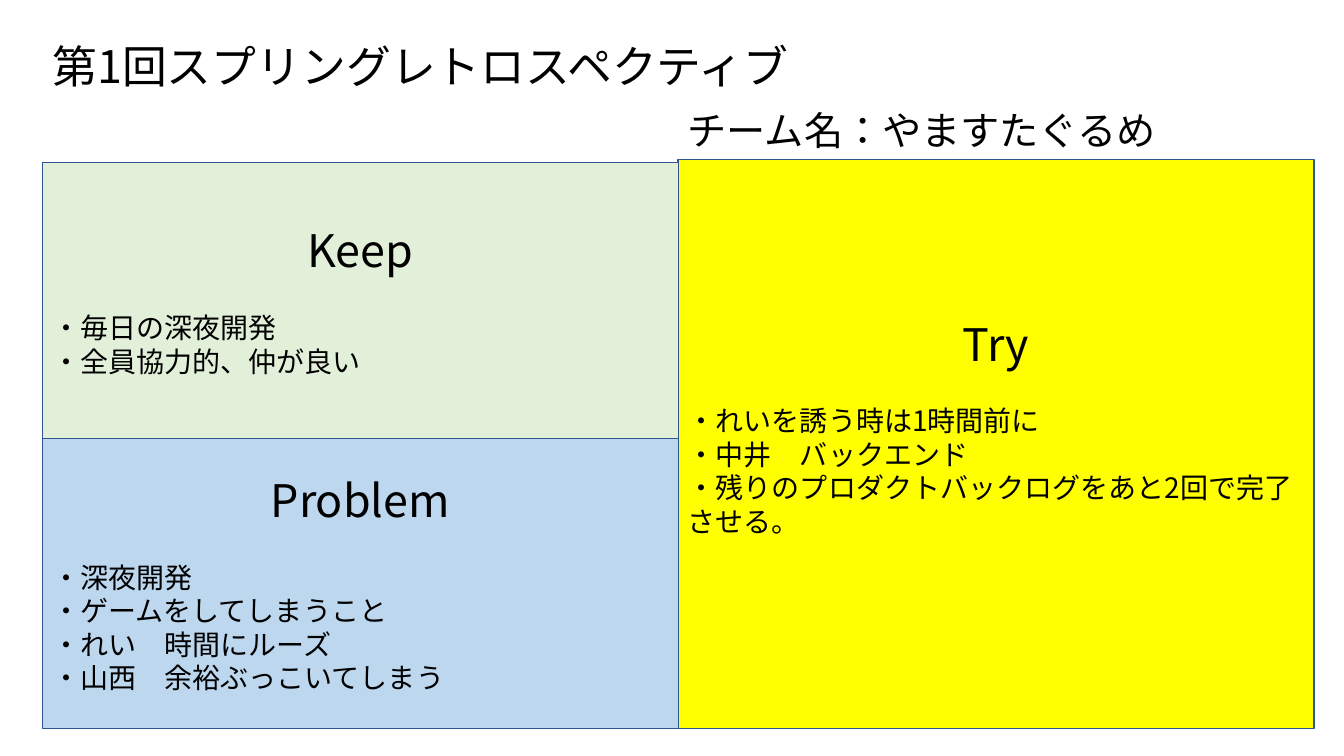
from dataclasses import dataclass

from lxml.etree import SubElement
from pptx import Presentation
from pptx.dml.color import RGBColor
from pptx.enum.lang import MSO_LANGUAGE_ID as Lang
from pptx.enum.shapes import MSO_SHAPE as Shape
from pptx.enum.text import MSO_ANCHOR as Anchor, MSO_AUTO_SIZE as Fit, PP_ALIGN as Align
from pptx.oxml.ns import qn
from pptx.util import Pt

FONT = "Noto Sans CJK JP"
COLORS = {"text": "000000", "edge": "325491", "keep": "E2F0D9",
          "problem": "BDD7EE", "try": "FFFF00"}
HEAD, ITEM, LINE = 32, 20, 24  # heading size, item size, item line height
LEFT, MID, WIDE = 30.24, 484.2, 454.3
LOW = 520.56  # shared lower edge of the panels


@dataclass
class Panel:
    name: str
    color: str
    left: float
    top: float
    end: float
    items: list[str]
    foot: float = 0  # extra room below the items


PANELS = [
    Panel("Try", "try", MID, 113.76, LOW,
          ["・れいを誘う時は1時間前に", "・中井　バックエンド",
           "・残りのプロダクトバックログをあと2回で完了させる。"], LINE),
    Panel("Keep", "keep", LEFT, 115.92, 313.2,
          ["・毎日の深夜開発", "・全員協力的、仲が良い"]),
    Panel("Problem", "problem", LEFT, 313.2, LOW,
          ["・深夜開発", "・ゲームをしてしまうこと", "・れい　時間にルーズ",
           "・山西　余裕ぶっこいてしまう"]),
]


def tint(key: str) -> RGBColor:
    return RGBColor.from_string(COLORS[key])


def apply(target, form: dict) -> None:
    for key, value in form.items():
        setattr(target, key, value)


def write(para, text: str, size: float, **form) -> None:
    """Put one styled run in a paragraph."""
    apply(para, {"alignment": Align.LEFT} | form)
    run = para.add_run()
    run.text = text
    apply(run.font, {"name": FONT, "size": Pt(size), "language_id": Lang.JAPANESE})
    run.font.color.rgb = tint("text")
    SubElement(run.font._element, qn("a:ea"), typeface=FONT)


def draw(slide, panel: Panel) -> None:
    """Draw a filled box with a centred heading and its items."""
    box = slide.shapes.add_shape(Shape.RECTANGLE, Pt(panel.left), Pt(panel.top),
                                 Pt(WIDE), Pt(panel.end - panel.top))
    box.shadow.inherit = False
    box.fill.solid()
    box.fill.fore_color.rgb = tint(panel.color)
    box.line.color.rgb = tint("edge")
    box.line.width = Pt(1)
    frame = box.text_frame
    apply(frame, {"word_wrap": True, "vertical_anchor": Anchor.MIDDLE,
                  "margin_bottom": Pt(3.6 + panel.foot)})
    write(frame.paragraphs[0], panel.name, HEAD,
          alignment=Align.CENTER, space_after=Pt(LINE))
    for item in panel.items:
        write(frame.add_paragraph(), item, ITEM)


deck = Presentation()
apply(deck, {"slide_width": Pt(960), "slide_height": Pt(540)})
slide = deck.slides.add_slide(deck.slide_layouts[5])

# Title
title = slide.shapes.title
apply(title, {"left": Pt(LEFT), "top": Pt(19.44), "width": Pt(898.56), "height": Pt(59)})
apply(title.text_frame, {"word_wrap": True, "auto_size": Fit.NONE,
                         "vertical_anchor": Anchor.MIDDLE})
write(title.text_frame.paragraphs[0], "第1回スプリングレトロスペクティブ", HEAD,
      line_spacing=0.9)

# Keep, Problem and Try panels
for panel in PANELS:
    draw(slide, panel)

# Team name
team = slide.shapes.add_textbox(Pt(MID), Pt(72.72), Pt(WIDE), Pt(41))
apply(team.text_frame, {"word_wrap": True, "auto_size": Fit.SHAPE_TO_FIT_TEXT})
write(team.text_frame.paragraphs[0], "チーム名：やますたぐるめ", 28)

deck.save("out.pptx")
